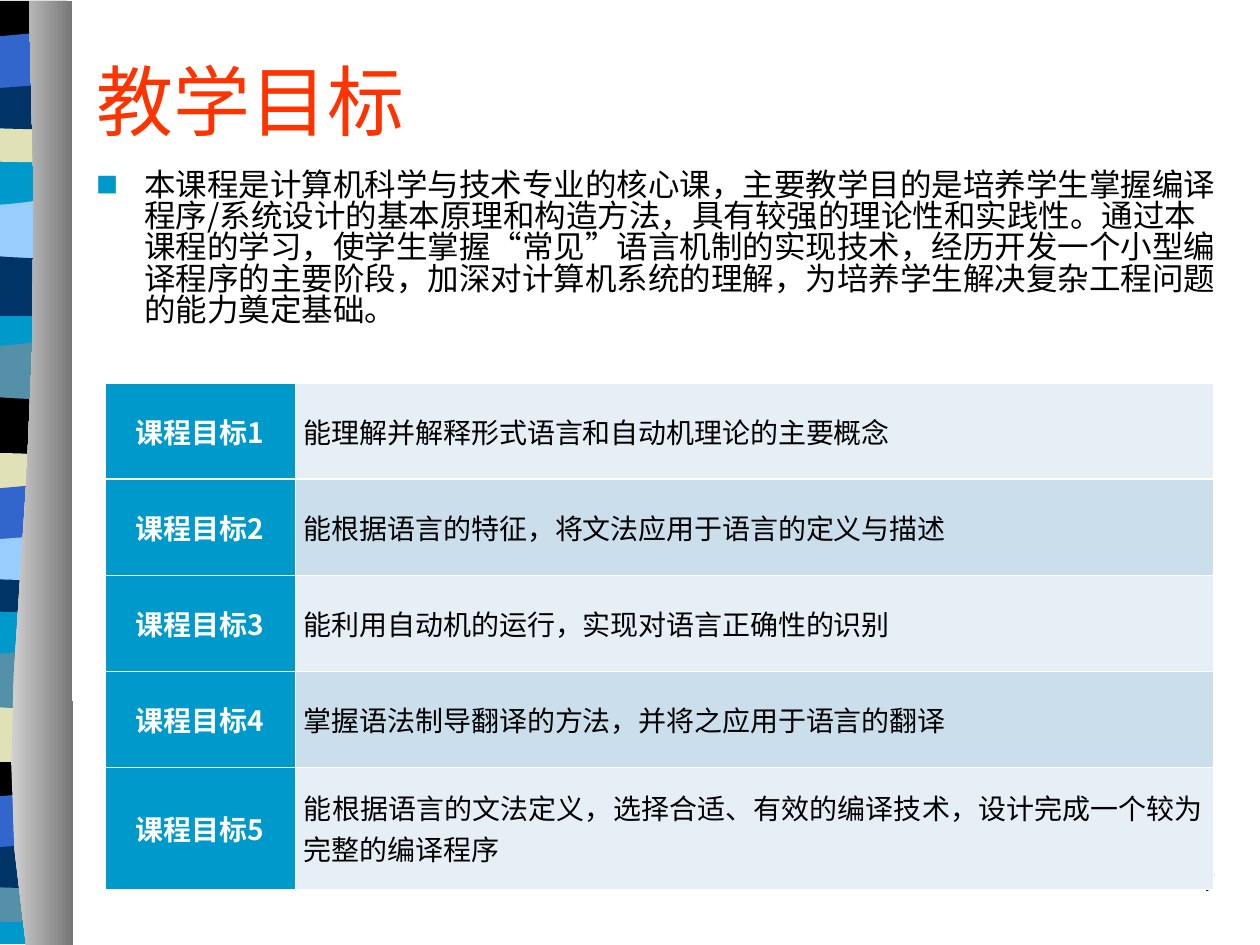
from lxml import etree
from pptx import Presentation
from pptx.dml.color import RGBColor
from pptx.enum.text import MSO_ANCHOR, PP_ALIGN
from pptx.oxml.ns import qn
from pptx.util import Emu, Pt

LEFT, CENTER, RIGHT, EVEN = PP_ALIGN.LEFT, PP_ALIGN.CENTER, PP_ALIGN.RIGHT, PP_ALIGN.JUSTIFY
TOP, MIDDLE = MSO_ANCHOR.TOP, MSO_ANCHOR.MIDDLE
SCALE = 914400 / 126
HAN = "Noto Sans CJK SC"
BLACK, WHITE, CYAN, NAVY = "000000", "FFFFFF", "0099CC", "003366"
BLUE, SKY, STEEL, SAND = "3366CC", "99CCFF", "5490A8", "E1E1B7"
STEPS = 8
BAND_X = -72

EDGES = {
    "base": ([(0, 0), (139, 0)], [(139, 940), (0, 940)]),
    "swoop": ([(0, 10), (96, 21), (115, 0), (139, 10)], [(139, 69), (0, 69)]),
    "wave": ([(0, 9), (23, 0), (96, 17), (139, 9)], [(139, 69), (0, 69)]),
    "arch": ([(0, 5), (23, 0), (115, 0), (139, 5)],
             [(139, 36), (130, 42), (108, 40), (86, 40), (62, 40), (18, 37), (0, 36)]),
    "slab": ([(0, 8), (23, 0), (115, 0), (139, 8)],
             [(139, 48), (53, 42), (29, 48), (0, 48)]),
    "cap": ([(0, 0), (139, 0)], [(139, 48), (53, 42), (29, 48), (0, 48)]),
    "dip": ([(0, 0), (21, 6), (30, 6), (53, 6), (76, 6), (117, 0), (139, 0)],
            [(139, 59), (0, 59)]),
    "lift": ([(0, 8), (9, 0), (30, 8), (53, 8), (76, 8), (125, 0), (139, 8)],
             [(139, 45), (119, 52), (44, 45), (0, 45)]),
}
BANDS = [
    ("base", 4, CYAN),
    ("swoop", 641, STEEL), ("wave", 698, SAND), ("arch", 882, STEEL),
    ("slab", 760, BLACK), ("dip", 791, BLUE), ("lift", 840, NAVY),
    ("swoop", 333, STEEL), ("wave", 388, BLACK), ("arch", 572, NAVY),
    ("slab", 451, SAND), ("dip", 483, BLUE), ("lift", 532, SKY),
    ("swoop", 192, SKY), ("wave", 247, NAVY), ("arch", 122, SAND),
    ("cap", 1, BLACK), ("dip", 31, BLUE), ("lift", 81, NAVY),
]
PILLAR = ([(26, 945), (-18, 672), (52, 572), (29, 1)], [(72, 1), (73, 945)])

INTRO = (
    "本课程是计算机科学与技术专业的核心课，主要教学目的是培养学生掌握编译程序/系统设计的"
    "基本原理和构造方法，具有较强的理论性和实践性。通过本课程的学习，使学生掌握“常见”语言"
    "机制的实现技术，经历开发一个小型编译程序的主要阶段，加深对计算机系统的理解，为培养学生"
    "解决复杂工程问题的能力奠定基础。"
)
GOALS = [
    "能理解并解释形式语言和自动机理论的主要概念",
    "能根据语言的特征，将文法应用于语言的定义与描述",
    "能利用自动机的运行，实现对语言正确性的识别",
    "掌握语法制导翻译的方法，并将之应用于语言的翻译",
    "能根据语言的文法定义，选择合适、有效的编译技术，设计完成一个较为完整的编译程序",
]
WIDTHS = [190, 918]
HEIGHTS = [96, 96, 96, 96, 122]
TINTS = ["E7EFF6", "CBDEEC"]


def px(n):
    """Turn pixels into EMU."""
    return Emu(round(n * SCALE))


def rgb(code):
    """Turn a hex string into a colour."""
    return RGBColor.from_string(code)


def sub(node, tag, **attrs):
    """Append a drawing element to a node."""
    return etree.SubElement(node, qn(tag), attrs)


def write(frame, text, size=16, font=HAN, color=BLACK, bold=False,
          align=LEFT, anchor=TOP, before=0, lead=None):
    """Fill a text frame with one formatted paragraph."""
    frame.word_wrap = True
    frame.vertical_anchor = anchor
    para = frame.paragraphs[0]
    para.alignment = align
    para.space_before = Pt(before)
    para.line_spacing = lead
    run = para.add_run()
    run.text = text
    run.font.size, run.font.bold, run.font.name = Pt(size), bold, font
    run.font.color.rgb = rgb(color)
    sub(run.font._element, "a:ea", typeface=font)
    return para


def label(slide, text, box, **style):
    """Add a text box and return its paragraph."""
    shape = slide.shapes.add_textbox(*map(px, box))
    return write(shape.text_frame, text, **style)


def bullet(para, sign, color, size, indent):
    """Give a paragraph a hanging bullet."""
    props = para._p.get_or_add_pPr()
    props.set("marL", str(px(indent)))
    props.set("indent", str(-px(indent)))
    sub(sub(props, "a:buClr"), "a:srgbClr", val=color)
    sub(props, "a:buSzPct", val=str(size * 1000))
    sub(props, "a:buFont", typeface=HAN)
    sub(props, "a:buChar", char=sign)


def trace(knots):
    """Sample a chain of cubic curves, or keep a straight edge."""
    if len(knots) < 4:
        return knots
    dots = [knots[0]]
    for i in range(0, len(knots) - 1, 3):
        for step in range(1, STEPS + 1):
            t = step / STEPS
            u = 1 - t
            mix = (u ** 3, 3 * u * u * t, 3 * u * t * t, t ** 3)
            dots.append(tuple(sum(m * k[axis] for m, k in zip(mix, knots[i:i + 4]))
                              for axis in (0, 1)))
    return dots


def outline(slide, edges, left=0, top=0):
    """Draw a closed form from its edges."""
    dots = [(px(left + x), px(top + y)) for edge in edges for x, y in trace(edge)]
    pen = slide.shapes.build_freeform(*dots[0], scale=1)
    pen.add_line_segments(dots[1:], close=True)
    shape = pen.convert_to_shape()
    shape.shadow.inherit = False
    shape.line.fill.background()
    return shape


def stripe(slide):
    """Draw the coloured bands and the grey pillar."""
    for kind, top, color in BANDS:
        band = outline(slide, EDGES[kind], BAND_X, top)
        band.fill.solid()
        band.fill.fore_color.rgb = rgb(color)
    fill = outline(slide, PILLAR).fill
    fill.gradient()
    fill.gradient_angle = 0
    for stop, color, place in zip(fill.gradient_stops, ("D1D1D1", "767676"), (0, 1)):
        stop.color.rgb = rgb(color)
        stop.position = place


def border(cell, row):
    """Draw white cell borders, thicker under the first row."""
    props = cell._tc.get_or_add_tcPr()
    thick = {"a:lnT": row == 1, "a:lnB": row == 0}
    for i, tag in enumerate(("a:lnL", "a:lnR", "a:lnT", "a:lnB")):
        width = Pt(1.47 if thick.get(tag) else 0.45)
        line = sub(props, tag, w=str(width))
        sub(sub(line, "a:solidFill"), "a:srgbClr", val=WHITE)
        props.insert(i, line)


def goals(slide):
    """Add the table of course goals."""
    box = (105, 383, sum(WIDTHS), sum(HEIGHTS))
    table = slide.shapes.add_table(len(GOALS), 2, *map(px, box)).table
    for col, width in zip(table.columns, WIDTHS):
        col.width = px(width)
    for i, goal in enumerate(GOALS):
        table.rows[i].height = px(HEIGHTS[i])
        pair = [
            (f"课程目标{i + 1}", CYAN, dict(color=WHITE, bold=True, align=CENTER)),
            (goal, TINTS[i % 2], dict(align=EVEN)),
        ]
        for j, (text, tint, style) in enumerate(pair):
            cell = table.cell(i, j)
            write(cell.text_frame, text, **style)
            cell.vertical_anchor = MIDDLE
            cell.margin_left = cell.margin_right = px(9)
            cell.margin_top = cell.margin_bottom = px(6)
            cell.fill.solid()
            cell.fill.fore_color.rgb = rgb(tint)
            border(cell, i)


def main():
    """Build the slide and save it."""
    deck = Presentation()
    deck.slide_width, deck.slide_height = px(1260), px(945)
    slide = deck.slides.add_slide(deck.slide_layouts[6])
    stripe(slide)
    label(slide, "7", (966, 861, 262, 63), size=14, font="Arial", align=RIGHT, before=8.8)
    label(slide, "教学目标", (84, 21, 1149, 158), size=44, color="FF3300", anchor=MIDDLE)
    intro = label(slide, INTRO, (84, 165, 1149, 672), size=18, before=4.5, lead=0.83)
    bullet(intro, "■", CYAN, 70, 48)
    goals(slide)
    deck.save("out.pptx")


if __name__ == "__main__":
    main()
